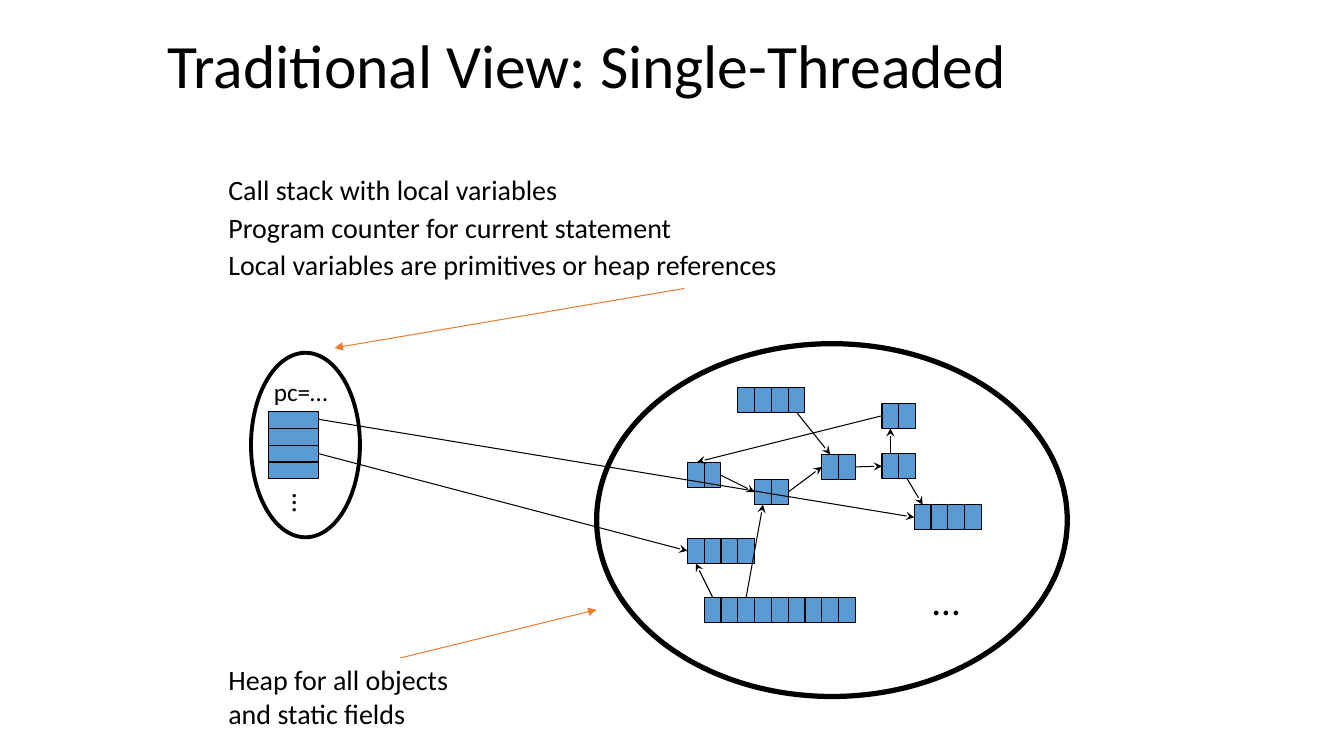
from pptx import Presentation
from pptx.util import Pt
from pptx.dml.color import RGBColor
from pptx.enum.shapes import MSO_SHAPE, MSO_CONNECTOR
from pptx.enum.text import MSO_ANCHOR
from pptx.oxml.ns import qn
from lxml import etree

OVAL, RECT = MSO_SHAPE.OVAL, MSO_SHAPE.RECTANGLE
STRAIGHT = MSO_CONNECTOR.STRAIGHT
TOP, MIDDLE = MSO_ANCHOR.TOP, MSO_ANCHOR.MIDDLE
BLACK = RGBColor(0x00, 0x00, 0x00)
BLUE = RGBColor(0x5B, 0x9B, 0xD5)
ORANGE = RGBColor(0xED, 0x7D, 0x31)

deck = Presentation()
deck.slide_width, deck.slide_height = Pt(960), Pt(540)
slide = deck.slides.add_slide(deck.slide_layouts[6])
shapes = slide.shapes


def add_form(kind, box, fill, width):
    form = shapes.add_shape(kind, *map(Pt, box))
    form.shadow.inherit = False
    if fill is None:
        form.fill.background()
    else:
        form.fill.solid()
        form.fill.fore_color.rgb = fill
    form.line.color.rgb = BLACK
    form.line.width = Pt(width)


def add_arrow(ends, color, head):
    arrow = shapes.add_connector(STRAIGHT, *map(Pt, ends))
    arrow.line.color.rgb = color
    arrow.line.width = Pt(0.75)
    line = arrow.line._get_or_add_ln()
    etree.SubElement(line, qn("a:tailEnd"), type=head)
    etree.SubElement(arrow._element.spPr, qn("a:effectLst"))


add_form(OVAL, (426.2, 245.5, 336.2, 252), None, 3.75)
add_form(OVAL, (179.3, 252, 77.8, 131.8), None, 2.75)

CELL, TALL = 12, 18
heap = [
    (491, 330.5, 2), (491, 384.5, 4), (539, 342.5, 2),
    (587, 324.5, 2), (527, 276.5, 4), (653, 360.5, 4),
    (503, 426.5, 9), (630, 324, 2), (630, 288, 2),
]
for left, top, count in heap:
    for i in range(count):
        add_form(RECT, (left + i * CELL, top, CELL, TALL), BLUE, 0.75)
for i in range(4):
    add_form(RECT, (191.5, 294 + i * CELL, 36, CELL), BLUE, 0.75)

links = [
    (569, 294.5, 593, 324.5), (515, 339.5, 539, 351.5),
    (563, 351.5, 587, 333.5), (509, 426.5, 497, 402.5),
    (533, 426.5, 545, 360.5), (227.5, 299.5, 653, 369.5),
    (227.5, 324, 491, 393.5), (611, 333.5, 630, 333),
    (636, 324, 636, 306), (630, 297, 498, 330),
    (648, 342, 659, 360.5),
]
for ends in links:
    add_arrow(ends, BLACK, "stealth")
for ends in [(286, 470, 426, 435.5), (489, 206, 239, 248.5)]:
    add_arrow(ends, ORANGE, "triangle")

texts = [
    ("Traditional View: Single-Threaded", (112.5, 9.5, 710, 78.5), 44,
     {"anchor": MIDDLE, "wrap": True, "space": 0.9}),
    ("Call stack with local variables\n"
     "Program counter for current statement\n"
     "Local variables are primitives or heap references",
     (156, 119.5, 666, 85.5), 20, {"wrap": True, "gap": 3}),
    ("Heap for all objects\vand static fields",
     (156, 470, 259, 55.5), 20, {"wrap": True}),
    ("pc=…", (188.5, 265, 53.5, 29), 18, {}),
    ("…", (203, 343.5, 28, 31.5), 20, {"turn": 90}),
    ("…", (659, 408, 34, 41), 28, {}),
]
for words, box, size, more in texts:
    text = shapes.add_textbox(*map(Pt, box))
    text.rotation = more.get("turn", 0)
    frame = text.text_frame
    frame.text = words
    frame.word_wrap = more.get("wrap", False)
    frame.vertical_anchor = more.get("anchor", TOP)
    for i, para in enumerate(frame.paragraphs):
        para.line_spacing = more.get("space", 1.0)
        para.space_before = Pt(more.get("gap", 0) if i else 0)
        for run in para.runs:
            for name, value in {"name": "Calibri", "size": Pt(size)}.items():
                setattr(run.font, name, value)
            run.font.color.rgb = BLACK

deck.save("out.pptx")
